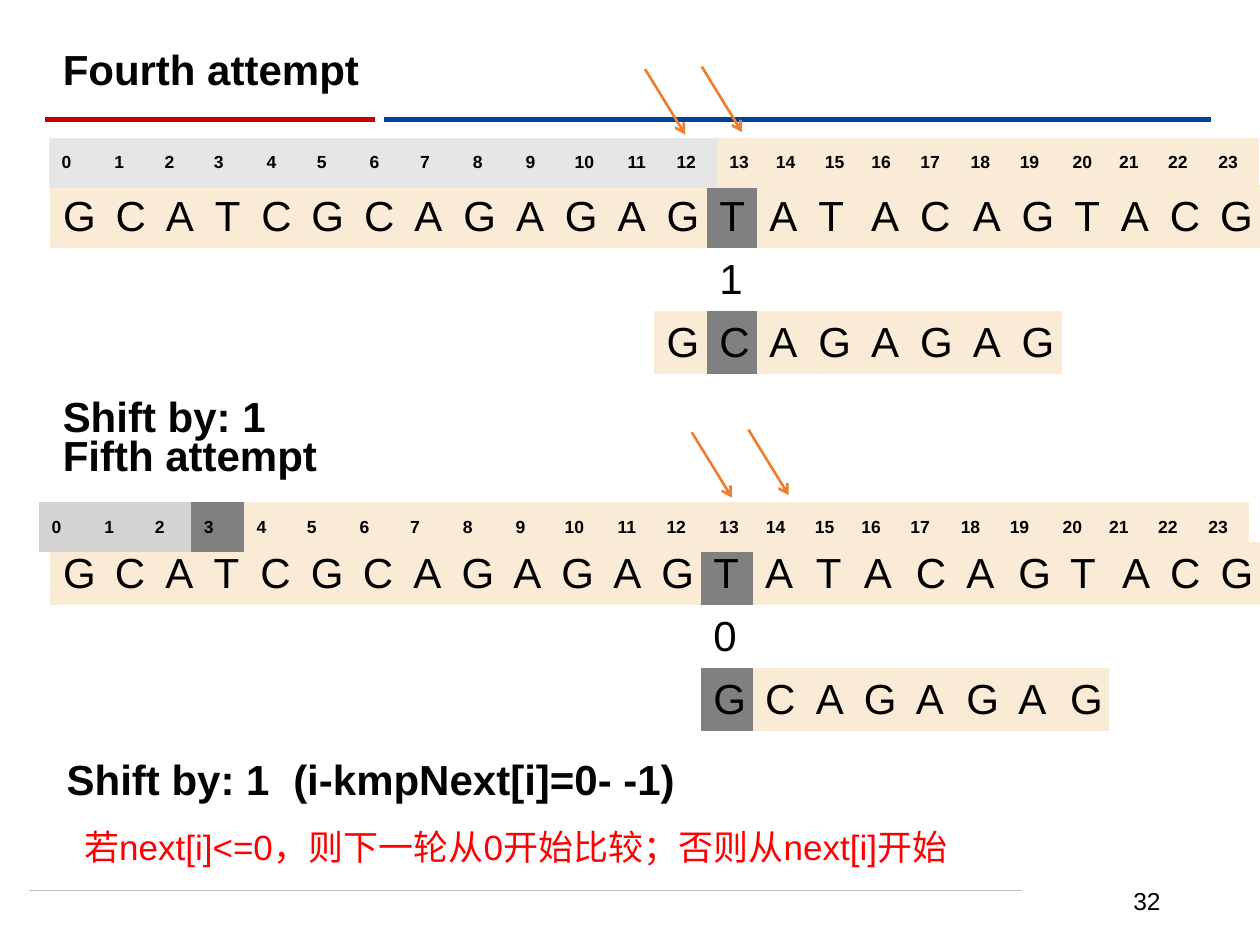
from dataclasses import dataclass
from typing import Optional

from lxml import etree
from pptx import Presentation, util as u
from pptx.dml import color
from pptx.enum import shapes, text
from pptx.oxml import ns

COLORS = {
    "black": "000000", "heading": "030301", "red": "FF0000", "white": "FFFFFF",
    "beige": "FAEBD7", "mismatch": "808080", "passed": "E7E6E6", "skipped": "D3D3D3",
    "rule_red": "C00000", "rule_blue": "004299", "rule_gray": "BFBFBF", "arrow": "ED7D31",
}
PLAIN_STYLE = "{2D5ABB26-0587-4C30-8999-92F81FD0307C}"
SEQUENCE = "GCATCGCAGAGAGTATACAGTACG"
PATTERN = "GCAGAGAG"
MISMATCH = 13
TABLE_WIDTH = 691.5

# Relative column widths, scaled to the table width
INDEX_WIDTHS = (42, 40, 39, 42, 40, 42, 40, 42, 42, 39, 42, 39,
                42, 37, 39, 37, 39, 40, 39, 42, 37, 39, 40, 42)
FOURTH_WIDTHS = (42, 40, 39, 37, 40, 42, 40, 39, 42, 39, 42, 39,
                 42, 40, 39, 42, 39, 42, 39, 42, 37, 39, 40, 42)
FIFTH_WIDTHS = (41, 40, 38, 37, 40, 41, 40, 38, 41, 38, 41, 38,
                41, 41, 40, 38, 41, 40, 41, 41, 41, 38, 40, 41)


@dataclass
class Label:
    words: str
    left: float
    top: float
    width: float
    size: float = 24
    hue: str = "heading"
    bold: bool = True
    height: float = 36
    align: text.PP_ALIGN = text.PP_ALIGN.LEFT
    tab: Optional[float] = None


@dataclass
class Line:
    start: tuple[float, float]
    end: tuple[float, float]
    hue: str
    weight: float
    arrow: bool = False


@dataclass
class Attempt:
    top: float
    widths: tuple[int, ...]
    shift: int
    matched: str
    index_left: float
    index_top: float
    index_hues: list[str]
    arrow_start: tuple[float, float]


def rgb(hue: str) -> color.RGBColor:
    return color.RGBColor.from_string(COLORS[hue])


def format_spans(para, size: float, hue: str, bold: bool) -> None:
    for span in para.runs:
        span.font.name = "Arial"
        span.font.size = u.Pt(size)
        span.font.bold = bold
        span.font.color.rgb = rgb(hue)


def draw_label(page, label: Label) -> None:
    box = page.shapes.add_textbox(u.Pt(label.left), u.Pt(label.top),
                                  u.Pt(label.width), u.Pt(label.height))
    frame = box.text_frame
    frame.word_wrap = True
    frame.vertical_anchor = text.MSO_ANCHOR.MIDDLE
    frame.text = label.words
    para = frame.paragraphs[0]
    para.alignment = label.align
    if label.tab:
        props = para._p.get_or_add_pPr()
        stops = etree.SubElement(props, ns.qn("a:tabLst"))
        etree.SubElement(stops, ns.qn("a:tab"), pos=str(u.Pt(label.tab)), algn="l")
    format_spans(para, label.size, label.hue, label.bold)


def draw_line(page, line: Line) -> None:
    ends = [u.Pt(value) for value in (*line.start, *line.end)]
    connector = page.shapes.add_connector(shapes.MSO_CONNECTOR.STRAIGHT, *ends)
    connector.line.color.rgb = rgb(line.hue)
    connector.line.width = u.Pt(line.weight)
    props = connector.element.spPr
    if line.arrow:
        etree.SubElement(connector.line._get_or_add_ln(), ns.qn("a:tailEnd"), type="arrow")
    etree.SubElement(props, ns.qn("a:effectLst"))


def add_grid(page, left: float, top: float, rows: int, row_height: float,
             widths: tuple[int, ...]):
    frame = page.shapes.add_table(rows, len(widths), u.Pt(left), u.Pt(top),
                                  u.Pt(TABLE_WIDTH), u.Pt(rows * row_height))
    for style in frame.element.iter(ns.qn("a:tableStyleId")):
        style.text = PLAIN_STYLE
    grid = frame.table
    grid.first_row = grid.horz_banding = False
    for column, width in zip(grid.columns, widths):
        column.width = u.Pt(round(TABLE_WIDTH * width / sum(widths), 2))
    return grid


def fill_cell(cell, words: str, hue: str, size: float = 24, bold: bool = False) -> None:
    cell.fill.solid()
    cell.fill.fore_color.rgb = rgb(hue)
    cell.vertical_anchor = text.MSO_ANCHOR.MIDDLE
    cell.text_frame.text = words
    format_spans(cell.text_frame.paragraphs[0], size, "black", bold)


def merge_blank(grid, row: int, first: int, last: int) -> None:
    grid.cell(row, first).merge(grid.cell(row, last))
    fill_cell(grid.cell(row, first), "", "white")


def fill_letters(grid, row: int, start: int, letters: str) -> None:
    for column, letter in enumerate(letters, start):
        hue = "mismatch" if column == MISMATCH else "beige"
        fill_cell(grid.cell(row, column), letter, hue)


def draw_sequence(page, attempt: Attempt) -> None:
    grid = add_grid(page, 28.8, attempt.top, 3, 36, attempt.widths)
    last = len(SEQUENCE) - 1
    fill_letters(grid, 0, 0, SEQUENCE)
    merge_blank(grid, 1, 0, MISMATCH - 1)
    fill_cell(grid.cell(1, MISMATCH), attempt.matched, "white")
    merge_blank(grid, 1, MISMATCH + 1, last)
    merge_blank(grid, 2, 0, attempt.shift - 1)
    fill_letters(grid, 2, attempt.shift, PATTERN)
    merge_blank(grid, 2, attempt.shift + len(PATTERN), last)


def draw_indices(page, attempt: Attempt) -> None:
    grid = add_grid(page, attempt.index_left, attempt.index_top, 1, 28.8, INDEX_WIDTHS)
    for number, hue in enumerate(attempt.index_hues):
        fill_cell(grid.cell(0, number), str(number), hue, size=10, bold=True)


def draw_arrows(page, attempt: Attempt) -> None:
    x, y = attempt.arrow_start
    for left, top in ((x, y), (x + 32.4, y - 1.44)):
        draw_line(page, Line((left, top), (left + 23, top + 37.4), "arrow", 1.5, True))


RULES = [
    Line((16.5, 509), (584, 509), "rule_gray", 0.5),
    Line((219.6, 68.4), (691.9, 68.4), "rule_blue", 3),
    Line((26, 68.4), (214.5, 68.4), "rule_red", 3),
]
LABELS = [
    Label("32", 508.3, 500.4, 162, 14, "black", False, 28.8, text.PP_ALIGN.RIGHT),
    Label("Fourth attempt", 28.8, 21.5, 230),
    Label("Shift by: 1", 28.8, 219.5, 230),
    Label("Fifth attempt", 28.8, 242, 390),
    Label("Shift by: 1\t(i-kmpNext[i]=0- -1)", 31, 427, 459, tab=129.5),
    Label("若next[i]<=0，则下一轮从0开始比较；否则从next[i]开始",
          41, 466, 584, 20, "red", False),
]
ATTEMPTS = [
    Attempt(105.8, FOURTH_WIDTHS, 12, "1", 28, 78.7,
            ["passed"] * 13 + ["beige"] * 11, (368.6, 39.5)),
    Attempt(309.7, FIFTH_WIDTHS, 13, "0", 22.3, 286.8,
            ["skipped"] * 3 + ["mismatch"] + ["beige"] * 20, (395.3, 247)),
]


def main() -> None:
    deck = Presentation()
    deck.slide_width, deck.slide_height = u.Pt(720), u.Pt(540)
    page = deck.slides.add_slide(deck.slide_layouts[6])

    # Header and footer rules, then headings and notes
    for rule in RULES:
        draw_line(page, rule)
    for label in LABELS:
        draw_label(page, label)

    # Index strips overlap the sequence tables
    for attempt in ATTEMPTS:
        draw_sequence(page, attempt)
        draw_indices(page, attempt)
        draw_arrows(page, attempt)

    deck.save("out.pptx")


if __name__ == "__main__":
    main()
